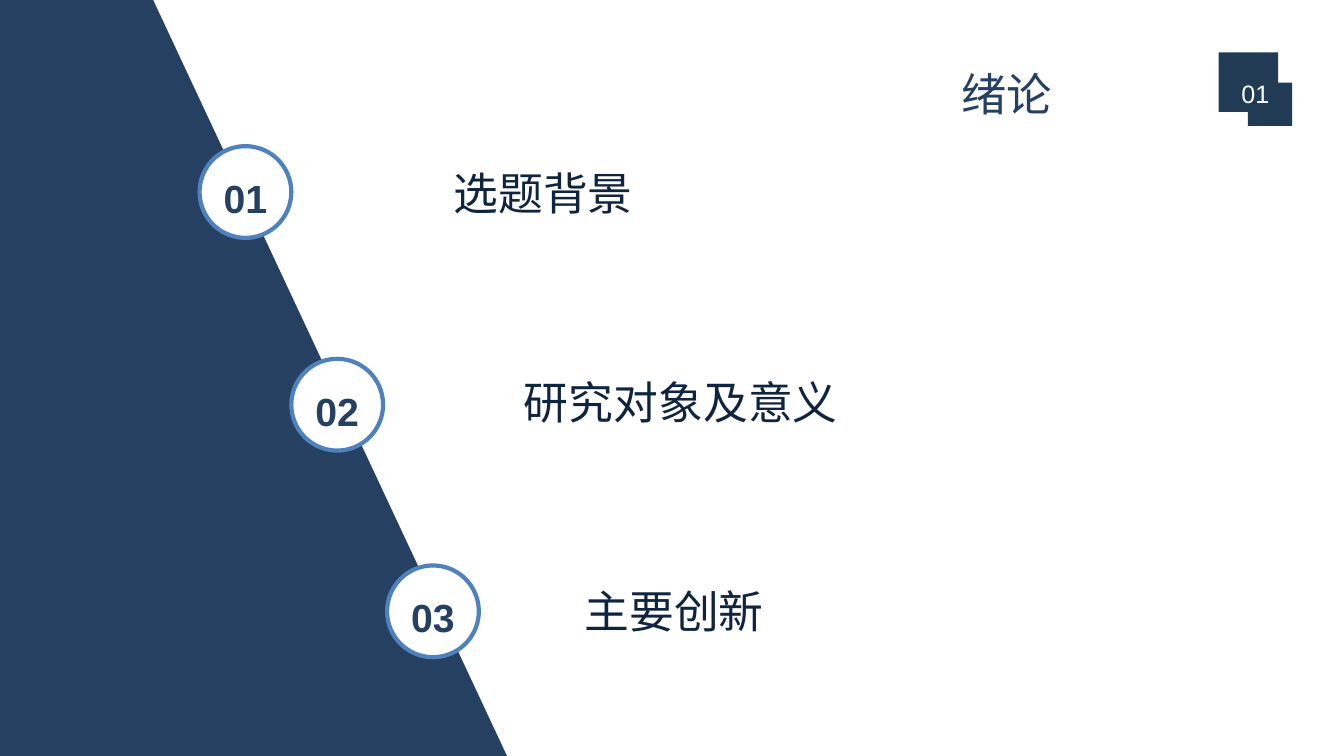
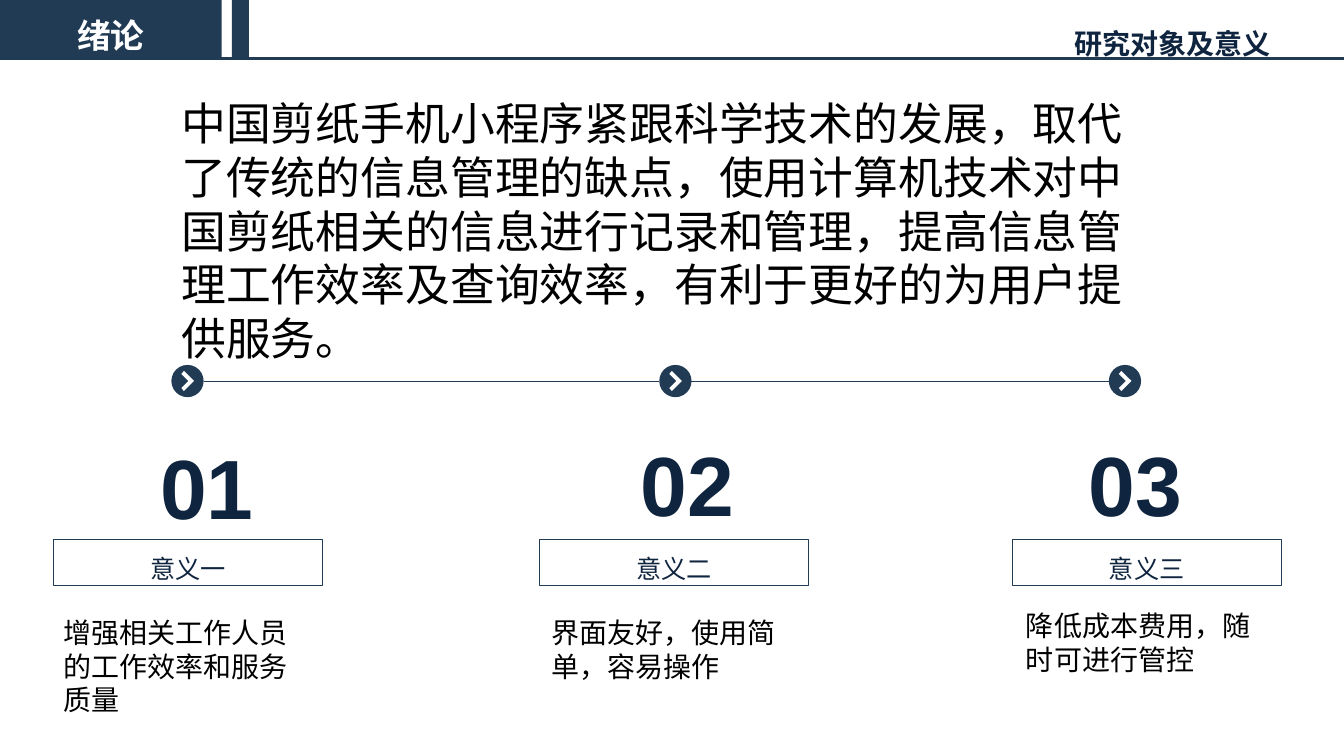
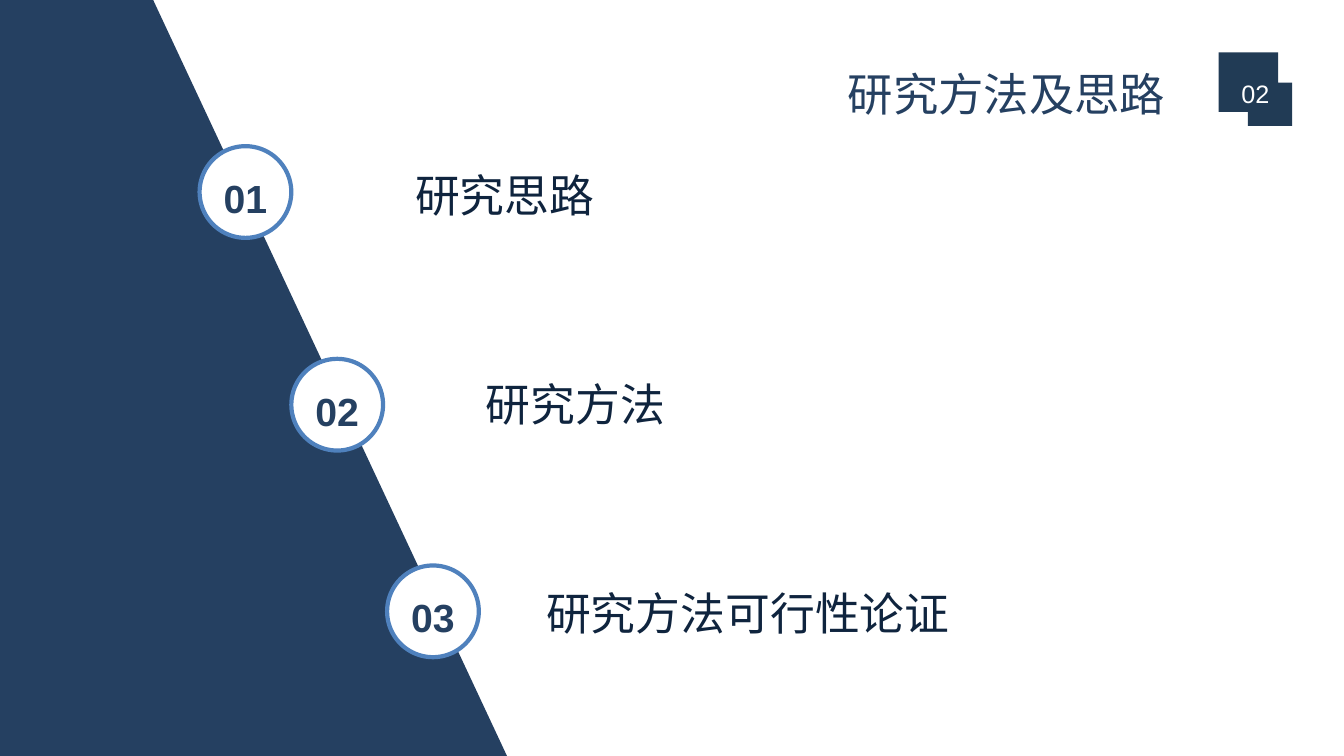
from dataclasses import dataclass

from pptx import Presentation
from pptx.dml.color import RGBColor
from pptx.enum.lang import MSO_LANGUAGE_ID
from pptx.enum.shapes import MSO_CONNECTOR, MSO_SHAPE
from pptx.enum.text import MSO_ANCHOR, MSO_AUTO_SIZE, PP_ALIGN
from pptx.oxml.xmlchemy import OxmlElement
from pptx.util import Inches, Pt

# Lengths are columns and rows of a grid with ten cells to the inch
COLUMNS, ROWS = 133.33, 75
COLORS = {
    "panel": "254061",
    "band": "213B55",
    "heading": "0F243E",
    "ring": "4F81BD",
    "white": "FFFFFF",
    "black": "000000",
}
FONT = "Arial"
LEFT, CENTER, RIGHT = PP_ALIGN.LEFT, PP_ALIGN.CENTER, PP_ALIGN.RIGHT
TOP, MIDDLE, BOTTOM = MSO_ANCHOR.TOP, MSO_ANCHOR.MIDDLE, MSO_ANCHOR.BOTTOM


@dataclass(frozen=True)
class Style:
    size: float
    color: str
    leading: float
    bold: bool = False
    align: PP_ALIGN = LEFT


@dataclass(frozen=True)
class Area:
    left: float
    top: float
    width: float
    height: float

    def lengths(self) -> tuple:
        return tuple(cell(n) for n in (self.left, self.top, self.width, self.height))


@dataclass(frozen=True)
class Section:
    number: str
    title: str
    topics: tuple
    topics_left: float
    topics_top: float


@dataclass(frozen=True)
class Benefit:
    number: str
    label: str
    detail: str
    marker_left: float
    number_left: float
    number_top: float
    label_left: float
    detail_area: Area


STYLES = {
    "section": Style(32.4, "panel", 50.5, align=CENTER),
    "badge": Style(18, "white", 27, align=CENTER),
    "topic": Style(32, "heading", 50),
    "step": Style(28, "panel", 42, bold=True, align=CENTER),
    "page": Style(20, "heading", 31, bold=True, align=RIGHT),
    "tab": Style(24, "white", 37.5, bold=True, align=CENTER),
    "summary": Style(32, "black", 38.4),
    "number": Style(60, "heading", 90, bold=True),
    "label": Style(18, "heading", 28, align=CENTER),
    "detail": Style(20, "black", 24),
}

# Section slides
PANEL = ((0, 0), (15.2, 0), (50.3, ROWS), (0, ROWS))
BADGE = ((120.9, 5.2), (126.8, 5.2), (126.8, 8.2), (128.2, 8.2),
         (128.2, 12.5), (123.8, 12.5), (123.8, 11.1), (120.9, 11.1))
STEPS = ((19.8, 14.5), (28.9, 35.6), (38.4, 56.1))
STEP_SIZE = 9.1
TOPIC_INDENTS = (0, 7, 13)
TOPIC_GAP = 99.5
SECTIONS = {
    "opening": Section("01", "绪论", ("选题背景", "研究对象及意义", "主要创新"), 44, 14.3),
    "methods": Section("02", "研究方法及思路",
                       ("研究思路", "研究方法", "研究方法可行性论证"), 40.2, 14.5),
}

# Benefits slide
HEADER_HEIGHT = 5.8
MARKER_SIZE, MARKER_TOP = 3.2, 36.2
ARROW = ((1.25, 0.6), (2.25, 1.6), (1.25, 2.6), (1, 2.3), (1.7, 1.6), (1, 0.9))
SUMMARY = ("中国剪纸手机小程序紧跟科学技术的发展，取代了传统的信息管理的缺点，"
           "使用计算机技术对中国剪纸相关的信息进行记录和管理，"
           "提高信息管理工作效率及查询效率，有利于更好的为用户提供服务。")
BENEFITS = (
    Benefit("01", "意义一", "增强相关工作人员的工作效率和服务质量",
            17, 14.9, 40.2, 5.3, Area(5.3, 60.6, 27, 11)),
    Benefit("02", "意义二", "界面友好，使用简单，容易操作",
            65.4, 62.6, 39.9, 53.5, Area(53.7, 60.6, 26.6, 7.7)),
    Benefit("03", "意义三", "降低成本费用，随时可进行管控",
            110, 107, 39.9, 100.4, Area(100.8, 59.9, 26.1, 7.7)),
)


def cell(count: float) -> int:
    return int(Inches(count / 10))


def color(name: str) -> RGBColor:
    return RGBColor.from_string(COLORS[name])


def assign(target, values: dict) -> None:
    for name, value in values.items():
        setattr(target, name, value)


def write(shape, lines: tuple, style_name: str, anchor=TOP, wrap: bool = True,
          insets: tuple = (0.5, 0.5), indents: tuple = (0,), gap: float = 0) -> None:
    style, frame = STYLES[style_name], shape.text_frame
    assign(frame, {"auto_size": MSO_AUTO_SIZE.NONE, "word_wrap": wrap,
                   "vertical_anchor": anchor, "margin_top": cell(insets[0]),
                   "margin_bottom": cell(insets[1])})
    for index, line in enumerate(lines):
        para = frame.add_paragraph() if index else frame.paragraphs[0]
        assign(para, {"alignment": style.align, "line_spacing": Pt(style.leading),
                      "space_before": Pt(gap if index else 0)})
        if indents[index]:
            para._p.get_or_add_pPr().set("marL", str(cell(indents[index])))
        span = para.add_run()
        span.text = line
        assign(span.font, {"name": FONT, "size": Pt(style.size), "bold": style.bold,
                           "language_id": MSO_LANGUAGE_ID.SIMPLIFIED_CHINESE})
        span.font.color.rgb = color(style.color)


def paint(shape, fill: str = "", line: str = "", weight: float = 0) -> None:
    shape.shadow.inherit = False
    if fill:
        shape.fill.solid()
        shape.fill.fore_color.rgb = color(fill)
    else:
        shape.fill.background()
    if line:
        shape.line.color.rgb = color(line)
        shape.line.width = Pt(weight)
    else:
        shape.line.fill.background()


def add_preset(page, kind, area: Area, fill: str = "", line: str = "", weight: float = 0):
    shape = page.shapes.add_shape(kind, *area.lengths())
    paint(shape, fill, line, weight)
    return shape


def add_outline(page, points: tuple, fill: str, left: float = 0, top: float = 0):
    corners = [(cell(left + x), cell(top + y)) for x, y in points]
    builder = page.shapes.build_freeform(*corners[0])
    builder.add_line_segments(corners[1:], close=True)
    shape = builder.convert_to_shape()
    paint(shape, fill)
    return shape


def add_rule(page, start: float, end: float, row: float, weight: float) -> None:
    rule = page.shapes.add_connector(
        MSO_CONNECTOR.STRAIGHT, cell(start), cell(row), cell(end), cell(row))
    rule.line.color.rgb = color("band")
    rule.line.width = Pt(weight)
    rule._element.spPr.append(OxmlElement("a:effectLst"))


def add_text(page, area: Area, lines: tuple, style_name: str, **options) -> None:
    box = page.shapes.add_textbox(*area.lengths())
    write(box, lines, style_name, **options)


def add_page(deck, title: str, area: Area, style_name: str, anchor):
    page = deck.slides.add_slide(deck.slide_layouts[5])
    holder = page.shapes.title
    assign(holder, dict(zip(("left", "top", "width", "height"), area.lengths())))
    write(holder, (title,), style_name, anchor)
    return page


def add_section_page(deck, section: Section) -> None:
    page = add_page(deck, section.title, Area(70.4, 5.2, 58.9, 7.3), "section", BOTTOM)
    badge = add_outline(page, BADGE, "band")
    write(badge, (section.number,), "badge", MIDDLE)
    add_text(page, Area(section.topics_left, section.topics_top, 85, 50),
             section.topics, "topic", indents=TOPIC_INDENTS, gap=TOPIC_GAP)
    # Slanted panel with numbered rings along its edge
    add_outline(page, PANEL, "panel")
    for number, (left, top) in enumerate(STEPS, start=1):
        ring = add_preset(page, MSO_SHAPE.OVAL, Area(left, top, STEP_SIZE, STEP_SIZE),
                          "white", "ring", 3)
        write(ring, (f"{number:02}",), "step", MIDDLE, wrap=False, insets=(0, 0))


def add_header(page, text: str) -> None:
    tab = add_preset(page, MSO_SHAPE.RECTANGLE, Area(0, 0, 22, HEADER_HEIGHT), "band")
    write(tab, (text,), "tab", MIDDLE, insets=(0, 0))
    add_preset(page, MSO_SHAPE.RECTANGLE, Area(23, 0, 1.7, HEADER_HEIGHT), "band")
    add_rule(page, 0, COLUMNS, HEADER_HEIGHT, 2)


def add_benefit(page, benefit: Benefit) -> None:
    add_preset(page, MSO_SHAPE.OVAL,
               Area(benefit.marker_left, MARKER_TOP, MARKER_SIZE, MARKER_SIZE), "band")
    add_outline(page, ARROW, "white", benefit.marker_left, MARKER_TOP)
    add_text(page, Area(benefit.number_left, benefit.number_top, 11.4, 13.4),
             (benefit.number,), "number", wrap=False)
    label = add_preset(page, MSO_SHAPE.RECTANGLE, Area(benefit.label_left, 53.5, 26.7, 4.6),
                       line="band", weight=0.75)
    write(label, (benefit.label,), "label", insets=(0.5, 0))
    add_text(page, benefit.detail_area, (benefit.detail,), "detail")


def add_benefits_page(deck) -> None:
    page = add_page(deck, "研究对象及意义", Area(74.1, 1.2, 53, 5), "page", TOP)
    add_header(page, "绪论")
    add_text(page, Area(17, 9, 98.1, 27.9), (SUMMARY,), "summary")
    # Lines between neighbouring markers
    for first, second in zip(BENEFITS, BENEFITS[1:]):
        add_rule(page, first.marker_left + MARKER_SIZE, second.marker_left,
                 MARKER_TOP + MARKER_SIZE / 2, 0.5)
    for benefit in BENEFITS:
        add_benefit(page, benefit)


def main() -> None:
    deck = Presentation()
    assign(deck, {"slide_width": cell(COLUMNS), "slide_height": cell(ROWS)})
    add_section_page(deck, SECTIONS["opening"])
    add_benefits_page(deck)
    add_section_page(deck, SECTIONS["methods"])
    deck.save("out.pptx")


if __name__ == "__main__":
    main()
